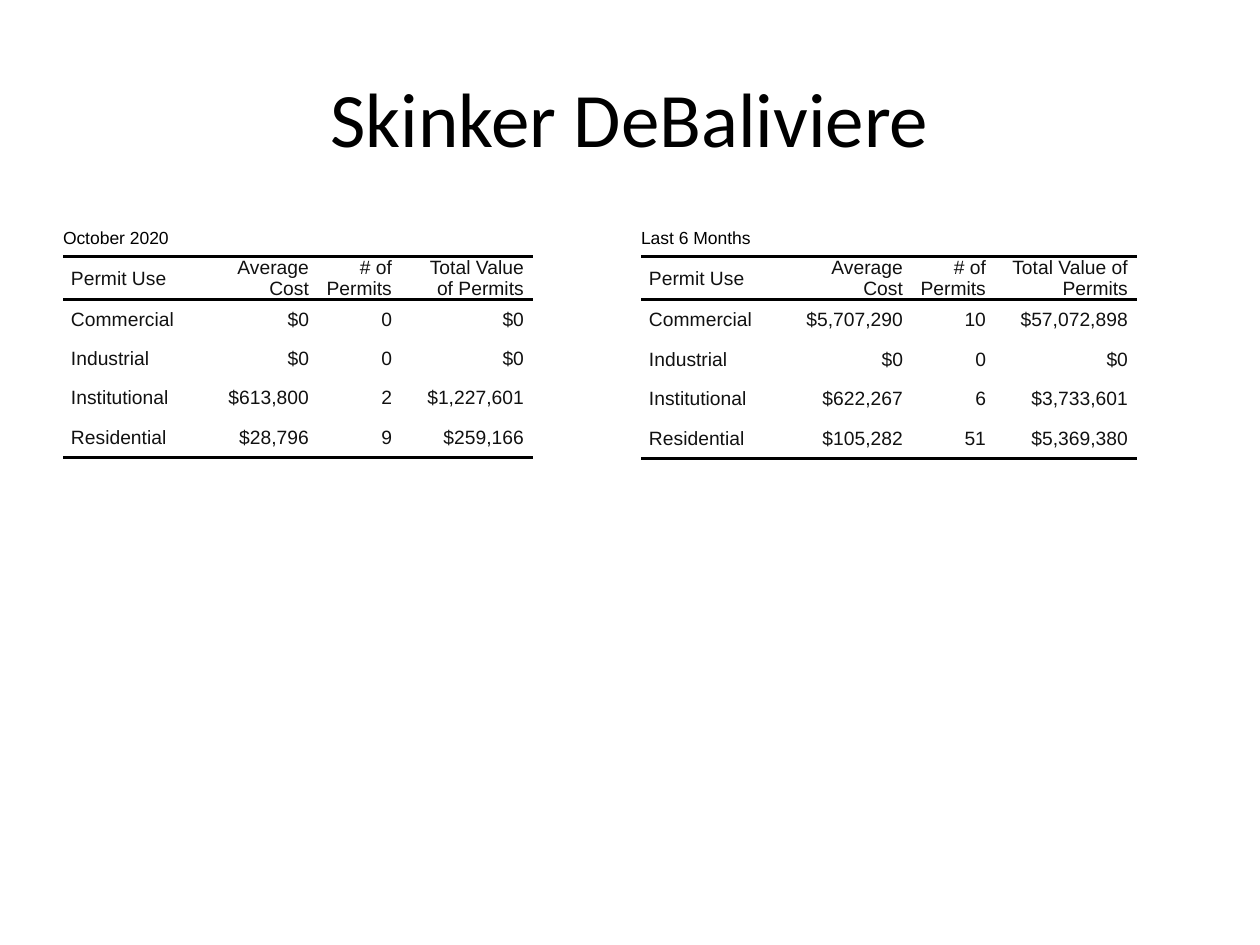
"""Build a slide with two building permit tables for Skinker DeBaliviere."""
from lxml import etree
from pptx import Presentation
from pptx.dml.color import RGBColor
from pptx.enum.text import MSO_ANCHOR, PP_ALIGN
from pptx.oxml.ns import qn
from pptx.util import Pt

PX = 914400 / 126
LEFT, CENTER, RIGHT = PP_ALIGN.LEFT, PP_ALIGN.CENTER, PP_ALIGN.RIGHT
MIDDLE = MSO_ANCHOR.MIDDLE
NO_GRID_STYLE = "{2D5ABB26-0587-4C30-8999-92F81FD0307C}"
INDENTS = {"marL": 8, "marR": 9}
RULES = {1: ["lnT", "lnB"], 5: ["lnB"]}
HEADINGS = ["Permit Use", "Average Cost", "# of Permits", "Total Value of Permits"]
TABLES = [
    ("October 2020", 63, [139, 116, 83, 132], [37, 37, 39, 39, 40, 40], [
        ["Commercial", "$0", "0", "$0"],
        ["Industrial", "$0", "0", "$0"],
        ["Institutional", "$613,800", "2", "$1,227,601"],
        ["Residential", "$28,796", "9", "$259,166"],
    ]),
    ("Last 6 Months", 641, [139, 132, 83, 142], [37, 37, 40, 39, 40, 40], [
        ["Commercial", "$5,707,290", "10", "$57,072,898"],
        ["Industrial", "$0", "0", "$0"],
        ["Institutional", "$622,267", "6", "$3,733,601"],
        ["Residential", "$105,282", "51", "$5,369,380"],
    ]),
]


def px(length):
    return round(length * PX)


def write(frame, text, font="Arial", size=11, color="111111", align=LEFT, indents={}, after=0):
    frame.word_wrap = True
    para = frame.paragraphs[0]
    para.alignment = align
    para.space_after = Pt(after)
    for side, indent in indents.items():
        para._p.get_or_add_pPr().set(side, str(px(indent)))
    span = para.add_run()
    span.text = text
    span.font.name = font
    span.font.size = Pt(size)
    span.font.color.rgb = RGBColor.from_string(color)


deck = Presentation()
deck.slide_width, deck.slide_height = px(1260), px(945)
page = deck.slides.add_slide(deck.slide_layouts[6])

for period, left, widths, heights, records in TABLES:
    graphic = page.shapes.add_table(
        len(heights), len(widths), px(left), px(220), px(sum(widths)), px(sum(heights)))
    table = graphic.table
    table.first_row = table.horz_banding = False
    table._tbl.tblPr.find(qn("a:tableStyleId")).text = NO_GRID_STYLE
    for column, width in zip(table.columns, widths):
        column.width = px(width)
    for row, height in zip(table.rows, heights):
        row.height = px(height)

    for r, row in enumerate(table.rows):
        for cell in row.cells:
            cell.margin_left = cell.margin_right = cell.margin_top = cell.margin_bottom = 0
            cell.vertical_anchor = MIDDLE
            cell.fill.background()
            properties = cell._tc.get_or_add_tcPr()
            for position, edge in enumerate(RULES.get(r, [])):
                line = etree.Element(qn(f"a:{edge}"), w=str(Pt(2)))
                fill = etree.SubElement(line, qn("a:solidFill"))
                etree.SubElement(fill, qn("a:srgbClr"), val="000000")
                properties.insert(position, line)

    table.cell(0, 0).merge(table.cell(0, len(widths) - 1))
    write(table.cell(0, 0).text_frame, period, size=10, color="000000")
    for r, record in enumerate([HEADINGS] + records, start=1):
        for c, value in enumerate(record):
            write(table.cell(r, c).text_frame, value, align=RIGHT if c else LEFT,
                  indents=INDENTS, after=2)

title = page.shapes.add_textbox(px(63), px(38), px(1134), px(158))
title.text_frame.vertical_anchor = MIDDLE
write(title.text_frame, "Skinker DeBaliviere", font="Calibri", size=44, color="000000",
      align=CENTER)

deck.save("out.pptx")
